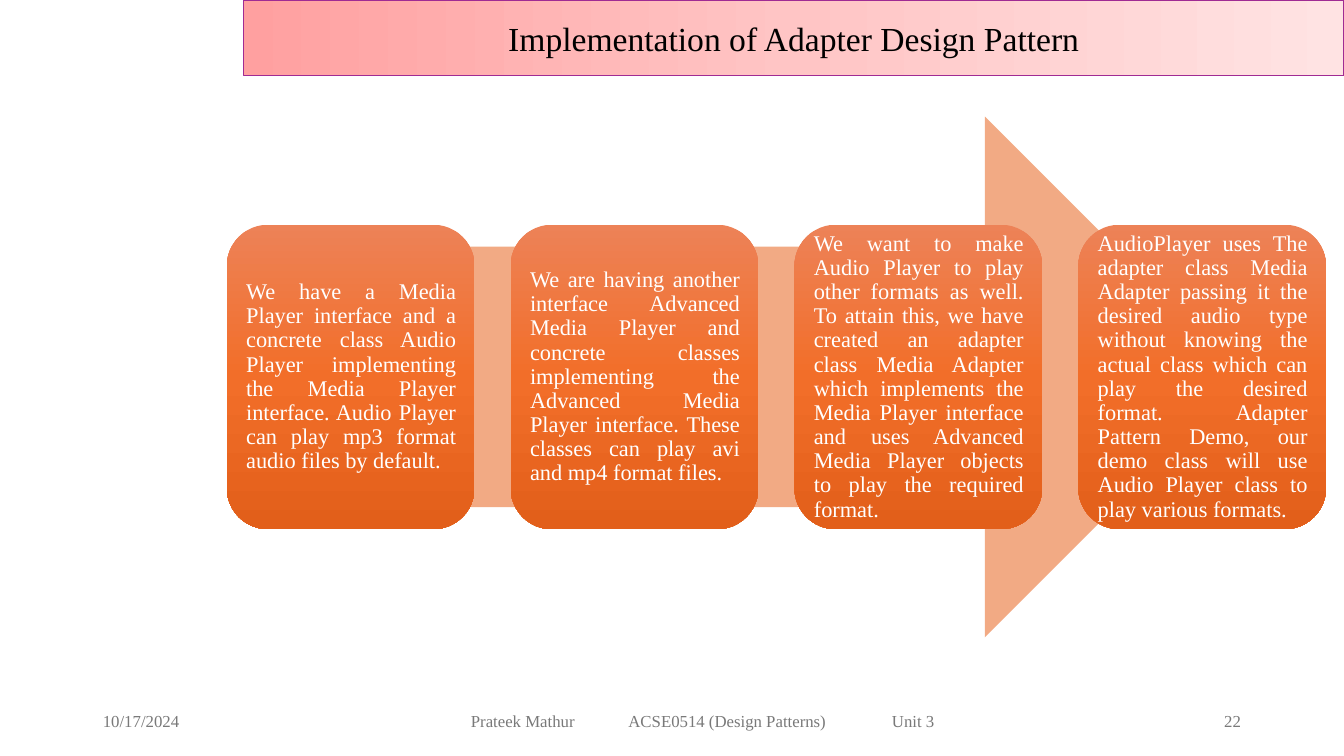
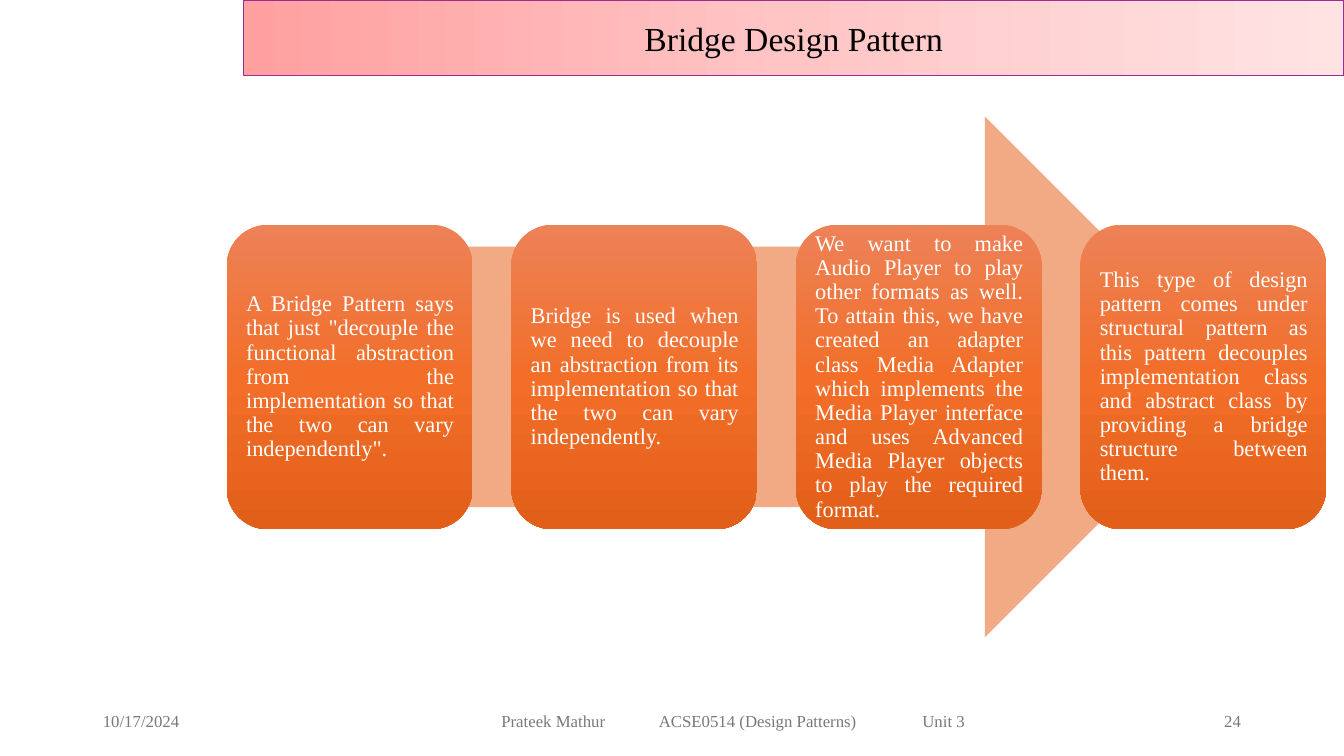
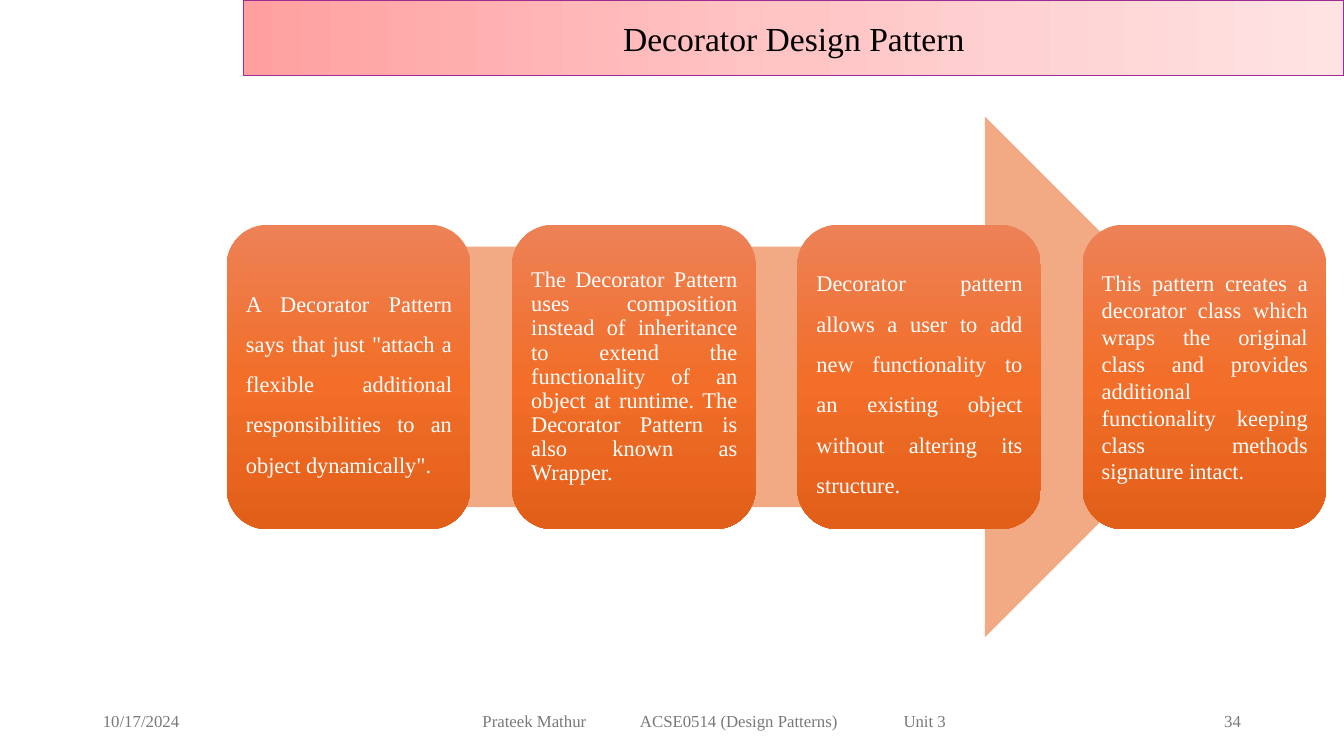
import copy

import pptx
import pptx.dml.color
import pptx.enum.shapes
import pptx.enum.text
import pptx.oxml.ns
import pptx.util
from lxml import etree

SHAPES = pptx.enum.shapes.MSO_SHAPE
ALIGN = pptx.enum.text.PP_ALIGN
FONT = "Times New Roman"
BLACK, WHITE, GREY = "000000", "FFFFFF", "797979"
BAND_STOPS = ("FFA0A0", "FFC5C5", "FFE3E3")
CARD_STOPS = ("ED8257", "F26E29", "E25F1A")
BAND_LINE = "A02B93"
ARROW_COLOR = "F2AA84"

# Boxes are left, top, width, height in px.
SLIDE_WIDTH, SLIDE_HEIGHT = 1280, 720
BAND_BOX = (232, 0, 1048, 72)
FLOW_BOX = (216, 111, 1047, 496)
FOOTER_TOP, FOOTER_HEIGHT = 667, 38
FOOTER_TEXT_WIDTH = 442
FOOTER_TABS = (150, 401)

DATE = "10/17/2024"
FOOTER = "Prateek Mathur\tACSE0514 (Design Patterns)\tUnit 3"
MEDIA_ADAPTER = (
    "We want to make Audio Player to play other formats as well. To attain this, "
    "we have created an adapter class Media Adapter which implements the Media Player "
    "interface and uses Advanced Media Player objects to play the required format."
)

SLIDES = [
    {
        "title": "Implementation of Adapter Design Pattern",
        "number": "22",
        "footer_width": 491,
        "card_width": 236,
        "cards": [
            ("We have a Media Player interface and a concrete class Audio Player "
             "implementing the Media Player interface. Audio Player can play mp3 format "
             "audio files by default.", 0.9),
            ("We are having another interface Advanced Media Player and concrete classes "
             "implementing the Advanced Media Player interface. These classes can play "
             "avi and mp4 format files.", 0.9),
            (MEDIA_ADAPTER, 0.9),
            ("AudioPlayer uses The adapter class Media Adapter passing it the desired "
             "audio type without knowing the actual class which can play the desired "
             "format. Adapter Pattern Demo, our demo class will use Audio Player class "
             "to play various formats.", 0.9),
        ],
    },
    {
        "title": "Bridge Design Pattern",
        "number": "24",
        "footer_width": 549,
        "card_width": 234,
        "cards": [
            ('A Bridge Pattern says that just "decouple the functional abstraction from '
             'the implementation so that the two can vary independently".', 0.9),
            ("Bridge is used when we need to decouple an abstraction from its "
             "implementation so that the two can vary independently.", 0.9),
            (MEDIA_ADAPTER, 0.9),
            ("This type of design pattern comes under structural pattern as this pattern "
             "decouples implementation class and abstract class by providing a bridge "
             "structure between them.", 0.9),
        ],
    },
    {
        "title": "Decorator Design Pattern",
        "number": "34",
        "footer_width": 513,
        "card_width": 232,
        "cards": [
            ('A Decorator Pattern says that just "attach a flexible additional '
             'responsibilities to an object dynamically".', 1.5),
            ("The Decorator Pattern uses composition instead of inheritance to extend "
             "the functionality of an object at runtime. The Decorator Pattern is also "
             "known as Wrapper.", 0.9),
            ("Decorator pattern allows a user to add new functionality to an existing "
             "object without altering its structure.", 1.5),
            ("This pattern creates a decorator class which wraps the original class and "
             "provides additional functionality keeping class methods signature intact.",
             1.0),
        ],
    },
]


def px(length):
    return pptx.util.Emu(round(length * 9525))


def color(hex_string):
    return pptx.dml.color.RGBColor.from_string(hex_string)


def place(shape, box):
    shape.left, shape.top, shape.width, shape.height = map(px, box)


def fill_gradient(shape, stops, angle):
    """Fill with three evenly spaced stops; the angle runs counter-clockwise."""
    shape.fill.gradient()
    shape.fill.gradient_angle = angle
    stop_list = next(shape.element.spPr.iter(pptx.oxml.ns.qn("a:gsLst")))
    stop_list.append(copy.deepcopy(stop_list[0]))
    for index, (stop, hex_string) in enumerate(zip(shape.fill.gradient_stops, stops)):
        stop.color.rgb = color(hex_string)
        stop.position = index / 2


def write(shape, text, size, hex_string, align, margins=(10, 5, 10, 5)):
    """Write one vertically centred paragraph and return it."""
    frame = shape.text_frame
    frame.word_wrap = True
    frame.auto_size = pptx.enum.text.MSO_AUTO_SIZE.NONE
    frame.vertical_anchor = pptx.enum.text.MSO_ANCHOR.MIDDLE
    (frame.margin_left, frame.margin_top,
     frame.margin_right, frame.margin_bottom) = map(px, margins)
    paragraph = frame.paragraphs[0]
    paragraph.alignment = align
    run = paragraph.add_run()
    run.text = text
    run.font.name = FONT
    run.font.size = pptx.util.Pt(size)
    run.font.color.rgb = color(hex_string)
    return paragraph


def add_title_band(slide, box, title):
    band = slide.shapes.title
    place(band, box)
    fill_gradient(band, BAND_STOPS, 0)
    band.line.color.rgb = color(BAND_LINE)
    band.line.width = pptx.util.Pt(1)
    write(band, title, 24, BLACK, ALIGN.CENTER)


def add_tab_stops(paragraph, positions):
    properties = paragraph._p.get_or_add_pPr()
    tab_list = etree.SubElement(properties, pptx.oxml.ns.qn("a:tabLst"))
    for position in positions:
        etree.SubElement(tab_list, pptx.oxml.ns.qn("a:tab"),
                         pos=str(px(position)), algn="l")


def add_footer(slide, top, height, footer_width, number):
    def add_part(left, width, text, align, side_margin=10):
        text_box = slide.shapes.add_textbox(*map(px, (left, top, width, height)))
        return write(text_box, text, 12, GREY, align, (side_margin, 5, 10, 5))

    add_part(88, 288, DATE, ALIGN.LEFT)
    centring_margin = (footer_width - FOOTER_TEXT_WIDTH) / 2
    course = add_part(424, footer_width, FOOTER, ALIGN.LEFT, centring_margin)
    add_tab_stops(course, FOOTER_TABS)
    add_part(904, 288, number, ALIGN.RIGHT)


def add_plain_shape(slide, kind, box):
    shape = slide.shapes.add_shape(kind, *map(px, box))
    shape.shadow.inherit = False
    shape.line.fill.background()
    return shape


def add_card_flow(slide, box, card_width, cards):
    """Spread cards evenly across the box, in front of a wide arrow."""
    left, top, width, height = box
    arrow_box = (left + 79, top, 891, height)
    arrow = add_plain_shape(slide, SHAPES.RIGHT_ARROW, arrow_box)
    arrow.fill.solid()
    arrow.fill.fore_color.rgb = color(ARROW_COLOR)

    card_height = 290
    card_top = top + (height - card_height) / 2
    step = (width - card_width) / (len(cards) - 1)
    for index, (text, line_spacing) in enumerate(cards):
        card_box = (left + index * step, card_top, card_width, card_height)
        card = add_plain_shape(slide, SHAPES.ROUNDED_RECTANGLE, card_box)
        fill_gradient(card, CARD_STOPS, 270)
        paragraph = write(card, text, 16, WHITE, ALIGN.JUSTIFY, (7, 6, 6, 6))
        paragraph.line_spacing = line_spacing


def main():
    presentation = pptx.Presentation()
    presentation.slide_width = px(SLIDE_WIDTH)
    presentation.slide_height = px(SLIDE_HEIGHT)
    title_only = presentation.slide_layouts.get_by_name("Title Only")
    for content in SLIDES:
        slide = presentation.slides.add_slide(title_only)
        add_title_band(slide, BAND_BOX, content["title"])
        add_footer(slide, FOOTER_TOP, FOOTER_HEIGHT,
                   content["footer_width"], content["number"])
        add_card_flow(slide, FLOW_BOX, content["card_width"], content["cards"])
    presentation.save("out.pptx")


if __name__ == "__main__":
    main()
